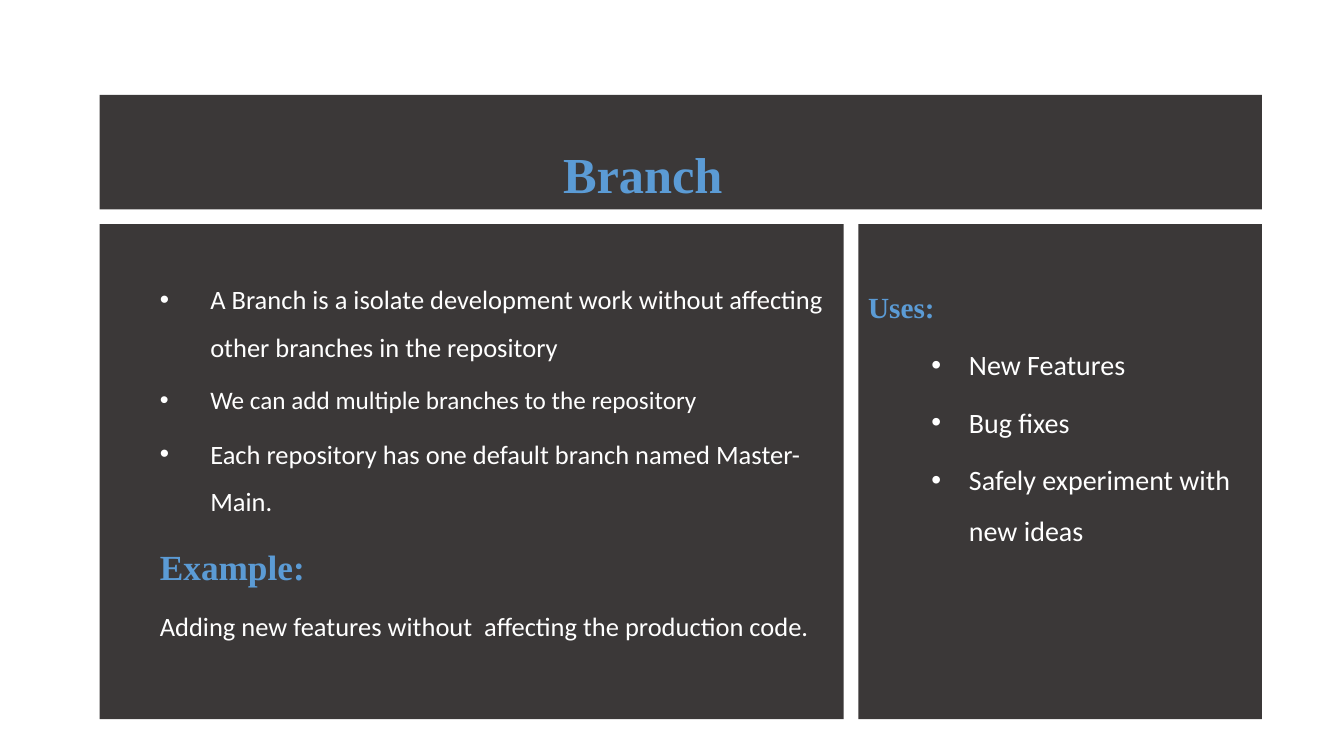
from dataclasses import dataclass
from typing import Any

import pptx
import pptx.dml.color
import pptx.enum.shapes
import pptx.enum.text
import pptx.oxml
import pptx.oxml.ns
import pptx.util
from pptx.util import Cm, Pt


@dataclass(frozen=True)
class Theme:
    panel: str = "3B3838"
    text: str = "FFFFFF"
    accent: str = "5B9BD5"
    body_font: str = "Calibri"
    heading_font: str = "Times New Roman"
    title_size: float = 36
    example_size: float = 25.2
    uses_size: float = 20.9
    list_size: float = 18.9
    small_size: float = 18
    uses_list_size: float = 20


THEME = Theme()


@dataclass(frozen=True)
class Line:
    text: str
    size: float
    heading: bool = False
    margin: float = 0
    hanging: float = 0
    spacing: Any = 1.5


@dataclass(frozen=True)
class Panel:
    left: float
    top: float
    width: float
    height: float
    inset_left: float
    inset_top: float
    lines: tuple[Line, ...]


LEFT, TOP, GAP = 2.51, 2.39, 0.37
TITLE_HEIGHT, BODY_HEIGHT = 2.89, 12.47
MAIN_WIDTH, USES_WIDTH = 18.75, 10.17
BODY_TOP = TOP + TITLE_HEIGHT + GAP
INSET = 0.25
MAIN_HANGING, USES_HANGING = 1.27, 0.95
MAIN_MARGIN, BULLET_MARGIN = 1.27, 2.54

PANELS = (
    Panel(LEFT, BODY_TOP, MAIN_WIDTH, BODY_HEIGHT, INSET, 1.09, (
        Line("A Branch is a isolate development work without affecting other branches in the repository",
             THEME.list_size, False, BULLET_MARGIN, MAIN_HANGING, Pt(34)),
        Line("We can add multiple branches to the repository",
             THEME.small_size, False, BULLET_MARGIN, MAIN_HANGING),
        Line("Each repository has one default branch named Master-Main.",
             THEME.list_size, False, BULLET_MARGIN, MAIN_HANGING),
        Line("Example:", THEME.example_size, True, MAIN_MARGIN),
        Line("Adding new features without  affecting the production code.",
             THEME.list_size, False, MAIN_MARGIN),
    )),
    Panel(LEFT, TOP, MAIN_WIDTH + GAP + USES_WIDTH, TITLE_HEIGHT, 11.68, 1.22, (
        Line("Branch", THEME.title_size, True, spacing=1.0),
    )),
    Panel(LEFT + MAIN_WIDTH + GAP, BODY_TOP, USES_WIDTH, BODY_HEIGHT, INSET, 1.25, (
        Line("Uses:", THEME.uses_size, True, spacing=Pt(36)),
        *(Line(use, THEME.uses_list_size, False, BULLET_MARGIN, USES_HANGING)
          for use in ("New Features", "Bug fixes", "Safely experiment with new ideas")),
    )),
)


def set_format(target: Any, values: dict[str, Any]) -> None:
    for name, value in values.items():
        setattr(target, name, value)


def color(value: str) -> pptx.dml.color.RGBColor:
    return pptx.dml.color.RGBColor.from_string(value)


def add_bullet(properties: Any) -> None:
    namespace = pptx.oxml.ns.nsdecls("a")
    for markup in (f'<a:buFont {namespace} typeface="Arial"/>',
                   f'<a:buChar {namespace} char="•"/>'):
        properties.append(pptx.oxml.parse_xml(markup))


def write_line(paragraph: Any, line: Line, first: bool) -> None:
    set_format(paragraph, {
        "alignment": pptx.enum.text.PP_ALIGN.LEFT,
        "line_spacing": line.spacing,
        "space_before": Pt(0 if first else 5),
    })
    properties = paragraph._p.get_or_add_pPr()
    properties.set("marL", str(Cm(line.margin)))
    properties.set("indent", str(-Cm(line.hanging)))
    if line.hanging:
        add_bullet(properties)
    run = paragraph.add_run()
    run.text = line.text
    set_format(run.font, {
        "size": Pt(line.size),
        "bold": line.heading,
        "name": THEME.heading_font if line.heading else THEME.body_font,
    })
    run.font.color.rgb = color(THEME.accent if line.heading else THEME.text)


def add_panel(slide: Any, panel: Panel) -> None:
    shape = slide.shapes.add_shape(
        pptx.enum.shapes.MSO_SHAPE.RECTANGLE,
        Cm(panel.left), Cm(panel.top), Cm(panel.width), Cm(panel.height))
    shape.shadow.inherit = False
    shape.fill.solid()
    shape.fill.fore_color.rgb = color(THEME.panel)
    shape.line.fill.background()
    frame = shape.text_frame
    set_format(frame, {
        "word_wrap": True,
        "vertical_anchor": pptx.enum.text.MSO_ANCHOR.TOP,
        "margin_left": Cm(panel.inset_left),
        "margin_top": Cm(panel.inset_top),
        "margin_right": Cm(INSET),
        "margin_bottom": Cm(0.13),
    })
    for index, line in enumerate(panel.lines):
        paragraph = frame.add_paragraph() if index else frame.paragraphs[0]
        write_line(paragraph, line, index == 0)


def main() -> None:
    presentation = pptx.Presentation()
    set_format(presentation, {"slide_width": Cm(33.87), "slide_height": Cm(19.05)})
    slide = presentation.slides.add_slide(presentation.slide_layouts[6])
    for panel in PANELS:
        add_panel(slide, panel)
    presentation.save("out.pptx")


if __name__ == "__main__":
    main()
